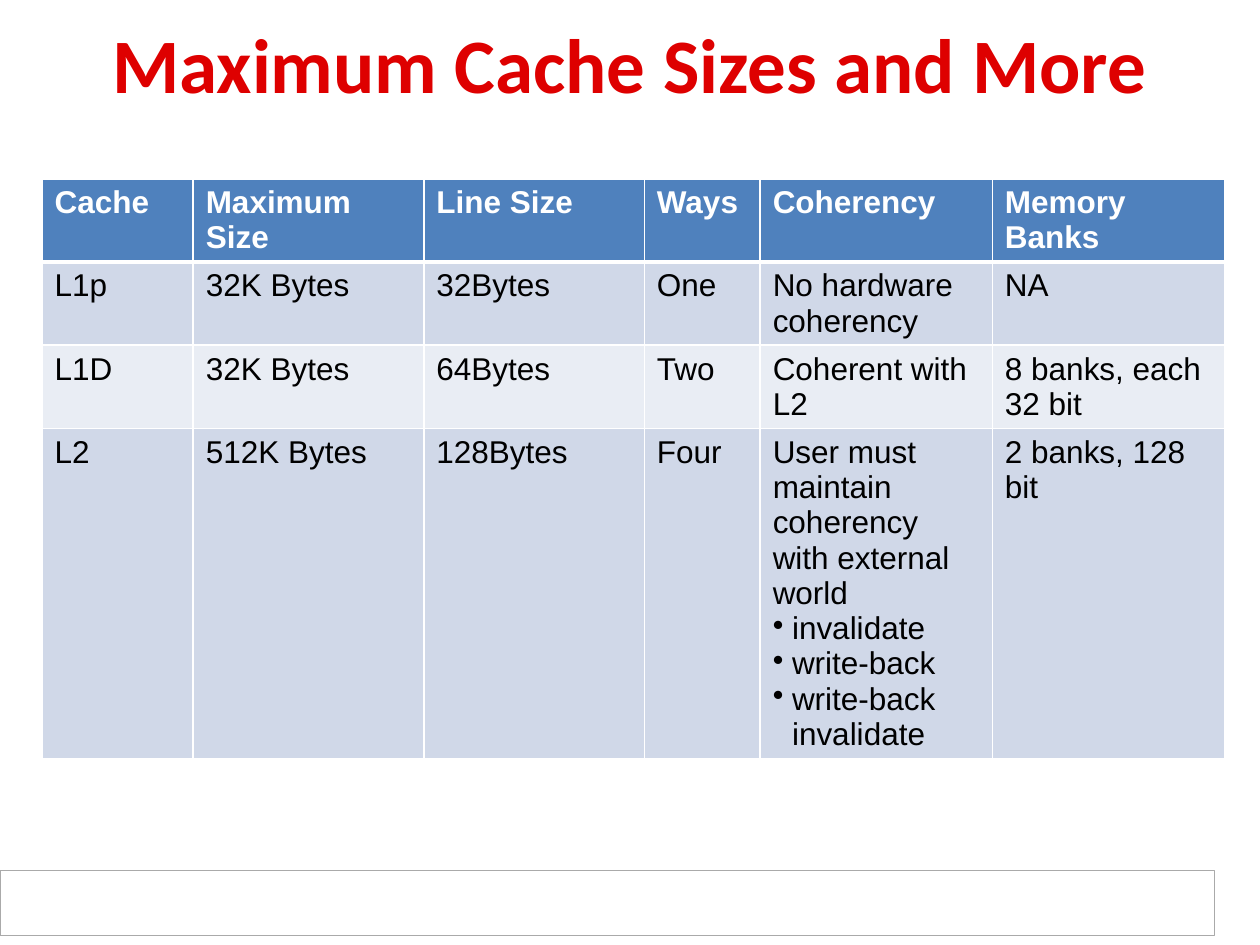
from lxml import etree
from pptx import Presentation
from pptx.dml.color import RGBColor
from pptx.enum.shapes import MSO_SHAPE
from pptx.enum.text import MSO_ANCHOR, PP_ALIGN
from pptx.oxml.ns import qn
from pptx.util import Pt

RECTANGLE = MSO_SHAPE.RECTANGLE
MIDDLE = MSO_ANCHOR.MIDDLE
CENTER = PP_ALIGN.CENTER

RED = RGBColor(0xDE, 0x00, 0x00)
WHITE = RGBColor(0xFF, 0xFF, 0xFF)
BLACK = RGBColor(0x00, 0x00, 0x00)
GRAY = RGBColor(0xAA, 0xAA, 0xAA)
HEADER_BLUE = RGBColor(0x4F, 0x81, 0xBD)
BANDS = [RGBColor(0xD0, 0xD8, 0xE8), RGBColor(0xE9, 0xED, 0xF4)]

# Content: a list in a cell holds an opening line followed by bullets
TITLE = "Maximum Cache Sizes and More"
CACHE_ROWS = [
    ["Cache", "Maximum Size", "Line Size", "Ways", "Coherency", "Memory Banks"],
    ["L1p", "32K Bytes", "32Bytes", "One", "No hardware coherency", "NA"],
    ["L1D", "32K Bytes", "64Bytes", "Two", "Coherent with L2", "8 banks, each 32 bit"],
    ["L2", "512K Bytes", "128Bytes", "Four",
     ["User must maintain coherency with external world",
      "invalidate", "write-back", "write-back invalidate"],
     "2 banks, 128 bit"],
]
COLUMN_WIDTHS = [86.4, 131.8, 126, 66.2, 132.7, 132.7]
ROW_HEIGHT = 32.4  # minimum; rows grow with their text
BULLET_INDENT = 11


def add_bullet(paragraph):
    properties = paragraph._p.get_or_add_pPr()
    properties.set("marL", str(Pt(BULLET_INDENT)))
    properties.set("indent", str(-Pt(BULLET_INDENT)))
    etree.SubElement(properties, qn("a:buChar")).set("char", "•")


def add_borders(cell, bottom_width):
    properties = cell._tc.get_or_add_tcPr()
    widths = {"lnL": 1, "lnR": 1, "lnT": 1, "lnB": bottom_width}
    for position, (side, width) in enumerate(widths.items()):
        line = etree.Element(qn(f"a:{side}"), w=str(Pt(width)))
        fill = etree.SubElement(line, qn("a:solidFill"))
        etree.SubElement(fill, qn("a:srgbClr")).set("val", str(WHITE))
        properties.insert(position, line)


def fill_cell(cell, content, is_header, background):
    lines = content if isinstance(content, list) else [content]
    cell.text_frame.text = "\n".join(lines)
    for number, paragraph in enumerate(cell.text_frame.paragraphs):
        if number:
            add_bullet(paragraph)
        font = paragraph.runs[0].font
        font.name = "Arial"
        font.size = Pt(18)
        font.bold = is_header
        font.color.rgb = WHITE if is_header else BLACK
    cell.fill.solid()
    cell.fill.fore_color.rgb = background
    add_borders(cell, 3 if is_header else 1)


def main():
    presentation = Presentation()
    presentation.slide_width = Pt(720)
    presentation.slide_height = Pt(540)
    slide = presentation.slides.add_slide(presentation.slide_layouts[5])

    # Title
    title = slide.shapes.title
    title.left, title.top, title.width, title.height = Pt(36), Pt(5.8), Pt(648), Pt(59.8)
    title.text_frame.text = TITLE
    title.text_frame.vertical_anchor = MIDDLE
    heading = title.text_frame.paragraphs[0]
    heading.alignment = CENTER
    heading_font = heading.runs[0].font
    heading_font.name = "Calibri"
    heading_font.size = Pt(44)
    heading_font.bold = True
    heading_font.color.rgb = RED

    # Footer box
    footer = slide.shapes.add_shape(RECTANGLE, Pt(0), Pt(497.5), Pt(694), Pt(37))
    footer.shadow.inherit = False
    footer.fill.solid()
    footer.fill.fore_color.rgb = WHITE
    footer.line.color.rgb = GRAY
    footer.line.width = Pt(0.75)

    # Cache table
    table = slide.shapes.add_table(
        len(CACHE_ROWS), len(COLUMN_WIDTHS), Pt(24), Pt(102.2),
        Pt(sum(COLUMN_WIDTHS)), Pt(ROW_HEIGHT * len(CACHE_ROWS))).table
    for column, width in zip(table.columns, COLUMN_WIDTHS):
        column.width = Pt(width)
    for row, contents in enumerate(CACHE_ROWS):
        is_header = row == 0
        background = HEADER_BLUE if is_header else BANDS[(row - 1) % 2]
        for column, content in enumerate(contents):
            fill_cell(table.cell(row, column), content, is_header, background)

    presentation.save("out.pptx")


if __name__ == "__main__":
    main()
